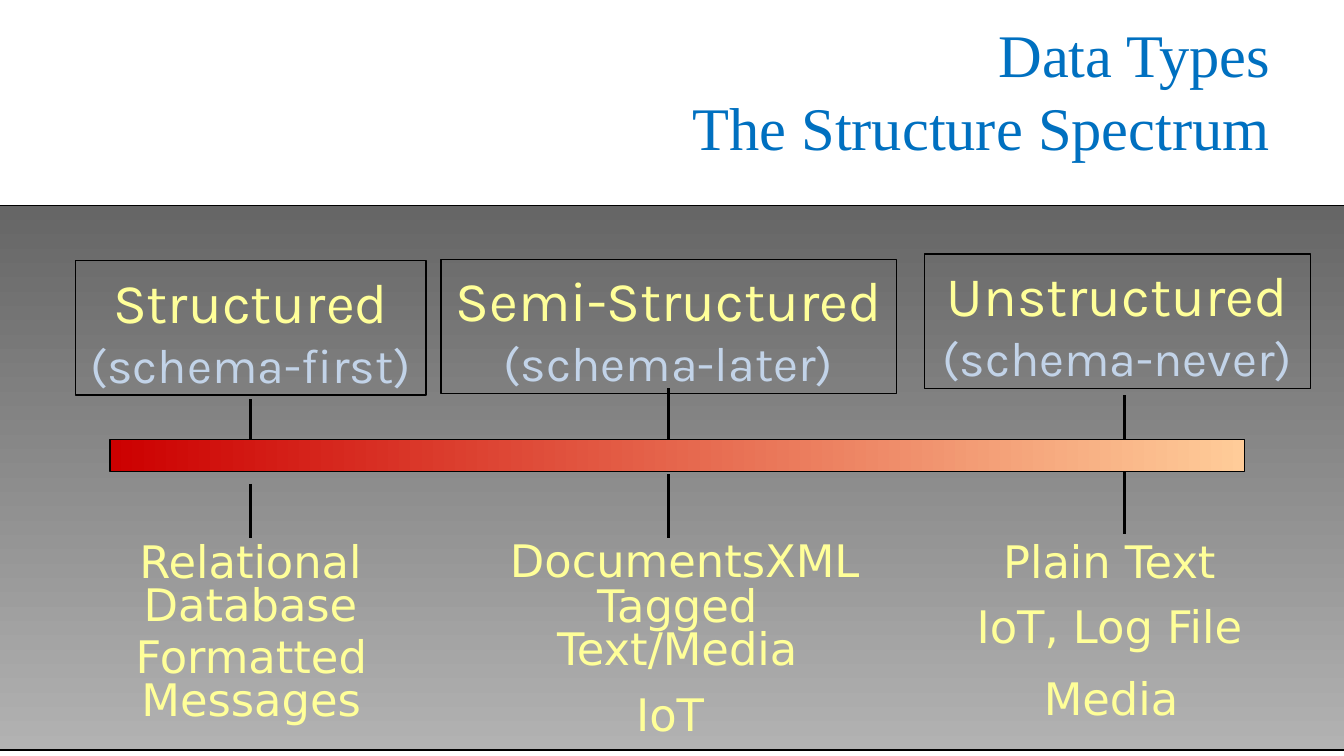
from dataclasses import dataclass

from lxml import etree
from pptx import Presentation
from pptx.dml.color import RGBColor
from pptx.enum.shapes import MSO_CONNECTOR, MSO_SHAPE
from pptx.enum.text import MSO_ANCHOR, MSO_AUTO_SIZE, PP_ALIGN
from pptx.oxml.ns import qn
from pptx.util import Inches, Pt

RECT = MSO_SHAPE.RECTANGLE
STRAIGHT = MSO_CONNECTOR.STRAIGHT
TOP, MIDDLE = MSO_ANCHOR.TOP, MSO_ANCHOR.MIDDLE
GROW = MSO_AUTO_SIZE.SHAPE_TO_FIT_TEXT
CENTER, RIGHT = PP_ALIGN.CENTER, PP_ALIGN.RIGHT


@dataclass(frozen=True)
class Theme:
    title: str = "0070C0"
    label: str = "FFFF99"
    schema: str = "C2D3E8"
    line: str = "000000"
    panel: tuple = ("666666", "B2B2B2")
    bar: tuple = ("CC0000", "FFCC99")
    title_font: str = "Times New Roman"
    head_font: str = "Karla"
    body_font: str = "DejaVu Sans"
    title_size: float = 32.4
    head_size: float = 30
    schema_size: float = 26
    body_size: float = 24


THEME = Theme()

# Each column: header box, its two runs, tick offset from the header's middle,
# then ticks (y1, y2) and notes (x, y, w, h, lines) relative to the header's corner
COLUMNS = [
    ((0.56, 1.94, 2.61, 1), ("Structured ", "(schema-first)"), 0,
     [(1.03, 1.42), (1.66, 2.06)],
     [(0.32, 2.06, 1.97, 0.7, ["Relational Database"]),
      (0.18, 2.77, 2.26, 0.7, ["Formatted Messages"])]),
    ((3.28, 1.93, 3.39, 1), ("Semi-Structured ", "(schema-later)"), 0,
     [(0.96, 1.44), (1.6, 2.07)],
     [(0.36, 2.06, 2.91, 0.95, ["DocumentsXML"]),
      (0.63, 2.4, 2.26, 1.27, ["Tagged Text/Media", "IoT "])]),
    ((6.88, 1.89, 2.87, 1), ("Unstructured ", "(schema-never)"), 0.05,
     [(1.05, 1.45), (1.61, 2.08)],
     [(0.14, 2.11, 2.47, 0.95, ["Plain Text", "IoT, Log File"]),
      (0.31, 3.13, 2.26, 0.4, ["Media "])]),
]


def style_run(r, font, size, color):
    r.font.name = font
    r.font.size = Pt(size)
    r.font.color.rgb = RGBColor.from_string(color)


def add_rect(shapes, box, gradient=None, angle=0):
    """Outlined rectangle, with a two-colour gradient or no fill."""
    sp = shapes.add_shape(RECT, *map(Inches, box))
    sp.shadow.inherit = False
    sp.line.color.rgb = RGBColor.from_string(THEME.line)
    sp.line.width = Pt(0.75)
    if gradient:
        sp.fill.gradient()
        sp.fill.gradient_angle = angle
        for stop, color in zip(sp.fill.gradient_stops, gradient):
            stop.color.rgb = RGBColor.from_string(color)
    else:
        sp.fill.background()
    return sp


def add_tick(shapes, x, y1, y2):
    line = shapes.add_connector(STRAIGHT, *map(Inches, (x, y1, x, y2)))
    line.line.color.rgb = RGBColor.from_string(THEME.line)
    line.line.width = Pt(1.5)
    etree.SubElement(line._element.spPr, qn("a:effectLst"))


def add_note(shapes, box, lines):
    tf = shapes.add_textbox(*map(Inches, box)).text_frame
    tf.word_wrap = True
    tf.auto_size = GROW
    tf.text = "\n".join(lines)
    for i, p in enumerate(tf.paragraphs):
        p.alignment = CENTER
        p.line_spacing = 0.8
        if i:
            p.space_before = Pt(12)
        style_run(p.runs[0], THEME.body_font, THEME.body_size, THEME.label)


def add_title(slide, box):
    tf = slide.shapes.add_textbox(*map(Inches, box)).text_frame
    tf.word_wrap = True
    tf.vertical_anchor = MIDDLE
    p = tf.paragraphs[0]
    p.text = "Data Types\vThe Structure Spectrum"
    p.alignment = RIGHT
    for r in p.runs:
        style_run(r, THEME.title_font, THEME.title_size, THEME.title)


def add_column(slide, box, heading, shift, ticks, notes):
    shapes = slide.shapes.add_group_shape().shapes
    left, top, width, _ = box

    # Header
    tf = add_rect(shapes, box).text_frame
    tf.word_wrap = True
    tf.auto_size = GROW
    tf.vertical_anchor = TOP
    p = tf.paragraphs[0]
    p.alignment = CENTER
    formats = [(THEME.head_size, THEME.label), (THEME.schema_size, THEME.schema)]
    for text, (size, color) in zip(heading, formats):
        r = p.add_run()
        r.text = text
        style_run(r, THEME.head_font, size, color)

    # Ticks above and below the bar
    for y1, y2 in ticks:
        add_tick(shapes, left + width / 2 + shift, top + y1, top + y2)

    # Examples
    for x, y, w, h, lines in notes:
        add_note(shapes, (left + x, top + y, w, h), lines)


def main():
    prs = Presentation()
    prs.slide_width = Inches(10)
    prs.slide_height = prs.slide_width * 9 // 16
    slide = prs.slides.add_slide(prs.slide_layouts[6])

    add_title(slide, (0.52, 0.25, 9.03, 0.84))
    add_rect(slide.shapes, (-0.09, 1.53, 10.17, 4.05), THEME.panel, 270)
    for column in COLUMNS:
        add_column(slide, *column)
    # Spectrum bar
    add_rect(slide.shapes, (0.82, 3.27, 8.44, 0.24), THEME.bar)

    prs.save("out.pptx")


if __name__ == "__main__":
    main()
